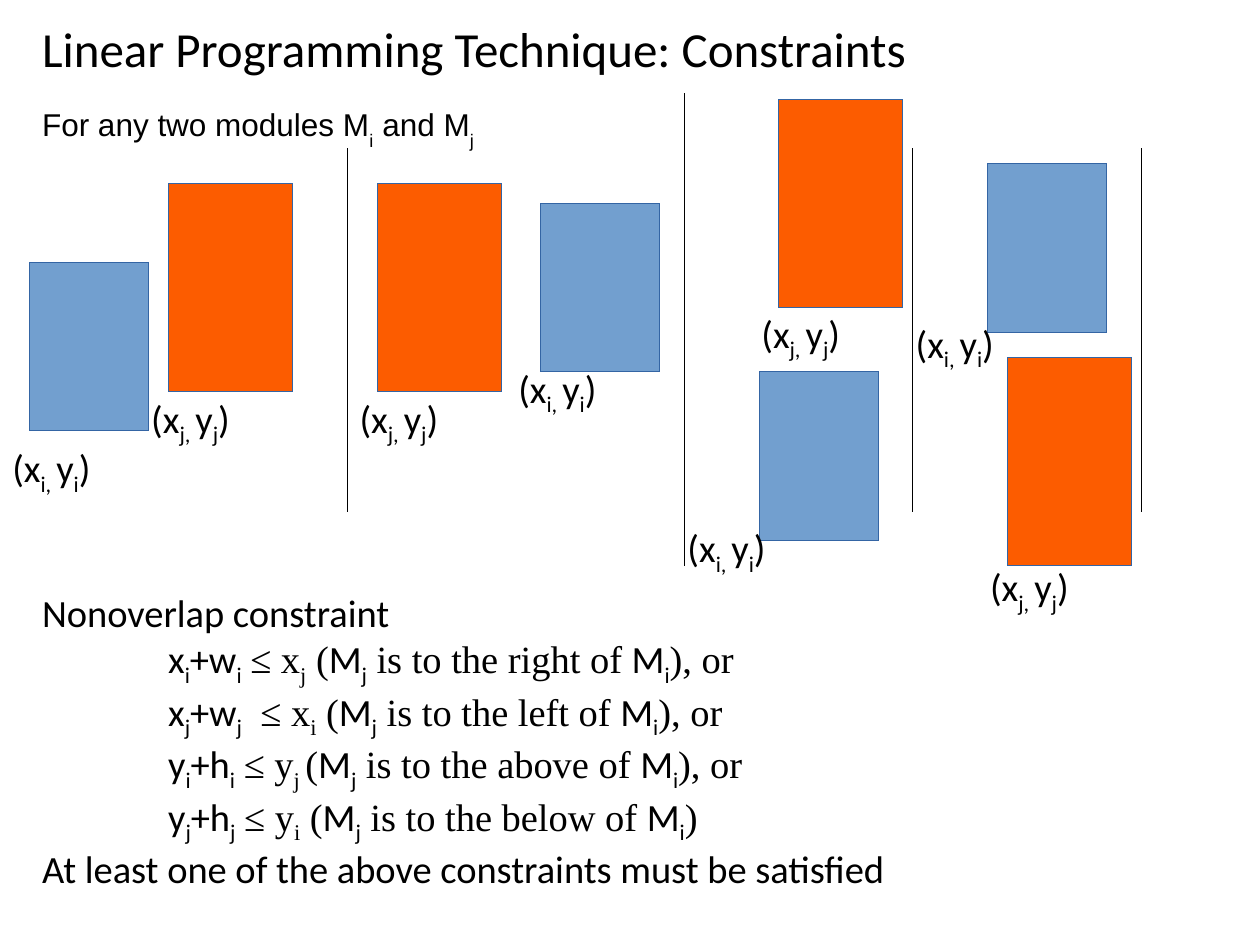
from dataclasses import dataclass

from lxml.etree import SubElement
from pptx import Presentation
from pptx.dml.color import RGBColor
from pptx.enum.shapes import MSO_CONNECTOR, MSO_SHAPE
from pptx.enum.text import MSO_AUTO_SIZE
from pptx.oxml.ns import qn
from pptx.util import Cm, Pt


@dataclass(frozen=True)
class Theme:
    ink: RGBColor = RGBColor(0x00, 0x00, 0x00)
    module_i: RGBColor = RGBColor(0x72, 0x9F, 0xCF)
    module_j: RGBColor = RGBColor(0xFC, 0x5C, 0x00)
    outline: RGBColor = RGBColor(0x34, 0x65, 0xA4)
    hairline: int = Pt(0.01)
    title_size: int = Pt(28)
    body_size: int = Pt(22)
    intro_size: int = Pt(18)
    main_font: str = "Calibri"
    intro_font: str = "Arial"
    prose_font: str = "Times New Roman"


class ConstraintSlide:
    def __init__(self, slide, theme):
        self.slide = slide
        self.theme = theme

    def text(self, left, top, width, height, lines, size, subscript=-25,
             stops=()):
        frame = self.slide.shapes.add_textbox(
            Cm(left), Cm(top), Cm(width), Cm(height)).text_frame
        frame.word_wrap = True
        frame.auto_size = MSO_AUTO_SIZE.SHAPE_TO_FIT_TEXT
        for number, line in enumerate(lines):
            paragraph = frame.add_paragraph() if number else frame.paragraphs[0]
            if stops:
                self.tab_stops(paragraph, stops)
            for wording, font in line:
                self.runs(paragraph, wording, font, size, subscript)

    def tab_stops(self, paragraph, stops):
        tabs = SubElement(paragraph._p.get_or_add_pPr(), qn("a:tabLst"))
        for stop in stops:
            SubElement(tabs, qn("a:tab"), pos=str(Cm(stop)), algn="l")

    def runs(self, paragraph, wording, font, size, subscript):
        for position, part in enumerate(wording.replace("}", "{").split("{")):
            if not part:
                continue
            run = paragraph.add_run()
            run.text = part
            run.font.name = font
            run.font.size = size
            run.font.color.rgb = self.theme.ink
            if position % 2:
                run._r.get_or_add_rPr().set("baseline", str(subscript * 1000))

    def module(self, corner, size, color):
        block = self.slide.shapes.add_shape(
            MSO_SHAPE.RECTANGLE, *map(Cm, corner + size))
        block.shadow.inherit = False
        block.fill.solid()
        block.fill.fore_color.rgb = color
        block.line.color.rgb = self.theme.outline
        block.line.width = self.theme.hairline

    def coordinates(self, left, top, index):
        label = f"(x{{{index}, }}y{{{index}}})"
        self.text(left, top, 2.9, 1.47, [[(label, self.theme.main_font)]],
                  self.theme.body_size)

    def divider(self, x, top, bottom):
        rule = self.slide.shapes.add_connector(
            MSO_CONNECTOR.STRAIGHT, Cm(x), Cm(top), Cm(x), Cm(bottom))
        rule.line.color.rgb = self.theme.ink
        rule.line.width = self.theme.hairline
        SubElement(rule._element.spPr, qn("a:effectLst"))


def constraint(theme, left_side, right_side, direction, ending):
    main, prose = theme.main_font, theme.prose_font
    return [
        ("\t" + left_side, main),
        (f"≤ {right_side}(", prose),
        ("M{j}", main),
        (f" is to the {direction} of ", prose),
        ("M{i}", main),
        (ending, prose),
    ]


def main():
    deck = Presentation()
    deck.slide_width, deck.slide_height = Cm(25.4), Cm(19.05)
    theme = Theme()
    page = ConstraintSlide(deck.slides.add_slide(deck.slide_layouts[6]), theme)

    page.text(0.6, 0.25, 22.25, 1.45,
              [[("Linear Programming Technique: Constraints", theme.main_font)]],
              theme.title_size)
    page.text(0.6, 2, 11, 1.12,
              [[("For any two modules M{i} and M{j}", theme.intro_font)]],
              theme.intro_size, subscript=-33)

    relations = [
        ("x{i}+w{i} ", "x{j} ", "right", "), or"),
        ("x{j}+w{j}\t", "x{i} ", "left", "), or"),
        ("y{i}+h{i} ", "y{j }", "above", "), or"),
        ("y{j}+h{j} ", "y{i} ", "below", ")"),
    ]
    page.text(0.6, 11.75, 24.16, 6.35, [
        [("Nonoverlap constraint", theme.main_font)],
        *(constraint(theme, *relation) for relation in relations),
        [("At least one of the above constraints must be satisfied",
          theme.main_font)],
    ], theme.body_size, stops=(2.54, 4.4))

    arrangements = [
        ((0.59, 5.29), (0, 8.83), (3.4, 3.7), (2.8, 7.83)),
        ((10.9, 4.1), (10.2, 7.23), (7.61, 3.7), (7, 7.83)),
        ((15.31, 7.49), (13.61, 10.44), (15.7, 2), (15.1, 6.12)),
        ((19.91, 3.3), (18.21, 6.32), (20.31, 7.2), (19.71, 11.23)),
    ]
    for corner_i, label_i, corner_j, label_j in arrangements:
        page.module(corner_i, (2.4, 3.4), theme.module_i)
        page.module(corner_j, (2.5, 4.2), theme.module_j)
        page.coordinates(*label_j, "j")
        page.coordinates(*label_i, "i")

    for x in (7.01, 18.4, 23.01):
        page.divider(x, 3, 10.31)
    page.divider(13.8, 1.88, 11.4)

    deck.save("out.pptx")


if __name__ == "__main__":
    main()
